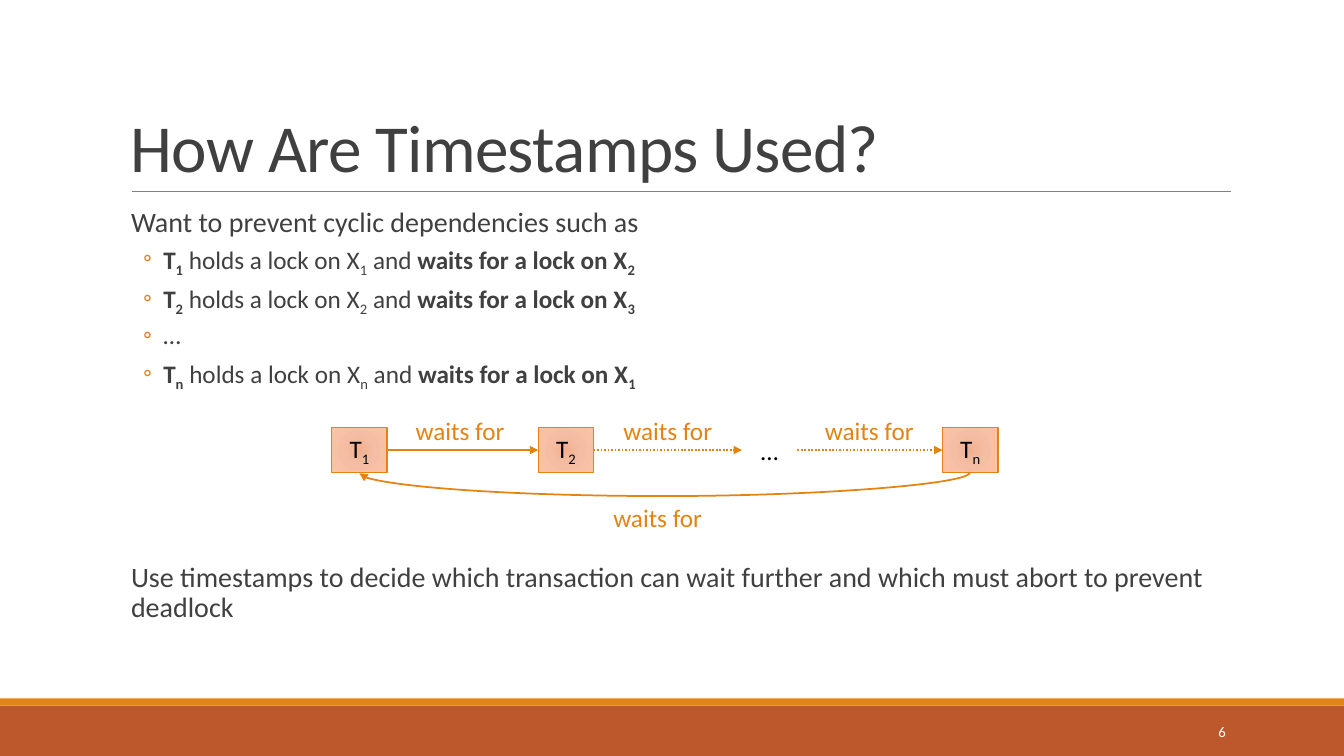
from dataclasses import dataclass

from lxml.etree import SubElement
from pptx import Presentation
from pptx.dml.color import RGBColor
from pptx.enum.dml import MSO_LINE
from pptx.enum.shapes import MSO_CONNECTOR as CXN, MSO_SHAPE as SHAPE
from pptx.enum.text import MSO_ANCHOR as ANCHOR, PP_ALIGN as ALIGN
from pptx.oxml import parse_xml
from pptx.oxml.ns import nsdecls, qn
from pptx.util import Emu, Inches, Pt


@dataclass(frozen=True)
class Theme:
    """Colours, font and type sizes of the slide."""
    font: str = "Calibri"
    accent: str = "E48312"
    band: str = "BD582C"
    rule: str = "808080"
    text: str = "404040"
    black: str = "000000"
    white: str = "FFFFFF"
    glow: tuple = ((0, "F0B191"), (45, "F5BEA4"), (100, "FDC3A8"))
    title: float = 48
    body: float = 20
    item: float = 18
    number: float = 10.5


T = Theme()
COLS, ROWS = 133.33, 75
NODE_W, NODE_H, NODE_TOP = 5.5, 4.5, 42.4
NODES = ((32.9, "1"), (53.4, "2"), (73.6, None), (93.5, "n"))
LABELS = ((40, 40.7), (60.6, 40.7), (80.6, 40.7), (59.6, 49.3))


def grid(*cells):
    """Turn grid cells of a tenth of an inch into lengths."""
    return [Inches(c / 10) for c in cells]


def rgb(color):
    """Turn a hex string into a colour."""
    return RGBColor.from_string(color)


def add_runs(p, runs, size, color):
    """Append (text, bold, subscript) runs to a paragraph."""
    for text, bold, sub in runs:
        r = p.add_run()
        r.text = text
        r.font.name, r.font.size, r.font.bold = T.font, Pt(size), bold
        r.font.color.rgb = rgb(color)
        if sub:
            r.font._element.set("baseline", "-25000")


def plain(text):
    """Return one regular run."""
    return [(text, False, False)]


def holds(i, j):
    """Return the runs for a transaction that holds one lock and awaits another."""
    return [("T", True, False), (i, True, True), (" holds a lock on X", False, False),
            (i, False, True), (" and ", False, False),
            ("waits for a lock on X", True, False), (j, True, True)]


def add_text(s, box, runs, size, color, align=ALIGN.LEFT, anchor=ANCHOR.TOP, wrap=True):
    """Add a one-paragraph text box and return it."""
    sp = s.shapes.add_textbox(*grid(*box))
    tf = sp.text_frame
    tf.word_wrap, tf.vertical_anchor = wrap, anchor
    p = tf.paragraphs[0]
    p.alignment = align
    add_runs(p, runs, size, color)
    return sp


def add_bar(s, top, height, color):
    """Add a full-width bar."""
    sp = s.shapes.add_shape(SHAPE.RECTANGLE, *grid(0, top, COLS, height))
    sp.shadow.inherit = False
    sp.fill.solid()
    sp.fill.fore_color.rgb = rgb(color)
    sp.line.fill.background()


def add_line(s, start, end, color, width, kind=CXN.STRAIGHT, dash=None, arrow=False):
    """Add a connector between two points given in lengths."""
    c = s.shapes.add_connector(kind, *start, *end)
    c.line.color.rgb, c.line.width = rgb(color), Pt(width)
    if dash:
        c.line.dash_style = dash
    spPr = c.element.spPr
    if arrow:
        SubElement(spPr.find(qn("a:ln")), qn("a:tailEnd"), type="triangle")
    SubElement(spPr, qn("a:effectLst"))
    return c


def add_node(s, left, index):
    """Add a transaction box, or an ellipsis when there is no index."""
    box = (left, NODE_TOP, NODE_W, NODE_H)
    if index is None:
        return add_text(s, box, plain("…"), T.item, T.black, ALIGN.CENTER, ANCHOR.MIDDLE)
    sp = s.shapes.add_shape(SHAPE.RECTANGLE, *grid(*box))
    sp.shadow.inherit = False
    sp.line.color.rgb, sp.line.width = rgb(T.accent), Pt(1)
    stops = "".join(f'<a:gs pos="{pos * 1000}"><a:srgbClr val="{color}"/></a:gs>'
                    for pos, color in T.glow)
    edges = " ".join(f'{side}="100000"' for side in "ltrb")
    fill = parse_xml(f'<a:gradFill {nsdecls("a")} rotWithShape="1"><a:gsLst>{stops}</a:gsLst>'
                     f'<a:path path="circle"><a:fillToRect {edges}/></a:path></a:gradFill>')
    sp.element.spPr.find(qn("a:prstGeom")).addnext(fill)
    tf = sp.text_frame
    tf.vertical_anchor = ANCHOR.MIDDLE
    p = tf.paragraphs[0]
    p.alignment = ALIGN.CENTER
    add_runs(p, [("T", False, False), (index, False, True)], T.item, T.black)
    return sp


def add_return_arrow(s, first, last):
    """Add the curved arrow that runs below the row from last to first."""
    span = last.left - first.left
    thick, sag = Inches(0.01), Inches(0.24)
    mid_x = first.left + first.width // 2 + span // 2
    mid_y = first.top + first.height
    left, top = Emu(mid_x - thick // 2), Emu(mid_y - span // 2)
    c = add_line(s, (left, top), (left + thick, top + span), T.accent, 1.25,
                 CXN.CURVE, arrow=True)
    spPr = c.element.spPr
    spPr.find(qn("a:xfrm")).set("rot", str(90 * 60000))
    guides = spPr.find(qn("a:prstGeom")).get_or_add_avLst()
    SubElement(guides, qn("a:gd"), name="adj1", fmla=f"val {sag * 100000 // thick}")


def add_body(s):
    """Add the statement, its bulleted lock list and the conclusion."""
    sp = s.shapes.add_textbox(*grid(12, 20.2, 110, 44))
    tf = sp.text_frame
    tf.word_wrap = True
    tf.margin_left = tf.margin_right = 0
    items = [holds("1", "2"), holds("2", "3"), plain("…"), holds("n", "1")]
    rows = [(plain("Want to prevent cyclic dependencies such as"), False, 0)]
    rows += [(runs, True, 2) for runs in items]
    rows.append((plain("Use timestamps to decide which transaction can wait further "
                       "and which must abort to prevent deadlock"), False, 120))
    for n, (runs, bullet, before) in enumerate(rows):
        p = tf.add_paragraph() if n else tf.paragraphs[0]
        pPr = p._p.get_or_add_pPr()
        pPr.set("marL", str(Inches(0.42 if bullet else 0.1)))
        pPr.set("indent", str(Inches(-0.2 if bullet else 0)))
        if bullet:
            p.level = 1
            SubElement(SubElement(pPr, qn("a:buClr")), qn("a:srgbClr"), val=T.accent)
            SubElement(pPr, qn("a:buFont"), typeface=T.font)
            SubElement(pPr, qn("a:buChar"), char="◦")
        p.line_spacing = 0.9
        p.space_before, p.space_after = Pt(before), Pt(4 if bullet else 2)
        add_runs(p, runs, T.item if bullet else T.body, T.text)


def add_wait_cycle(s):
    """Add the row of transactions, its arrows and their labels."""
    nodes = [add_node(s, left, index) for left, index in NODES]
    for n, (a, b) in enumerate(zip(nodes, nodes[1:])):
        y = a.top + a.height // 2
        c = add_line(s, (a.left + a.width, y), (b.left, y), T.accent, 1.25,
                     dash=MSO_LINE.ROUND_DOT if n else None, arrow=True)
        c.begin_connect(a, 3)
        c.end_connect(b, 1)
    add_return_arrow(s, nodes[0], nodes[-1])
    for left, top in LABELS:
        add_text(s, (left, top, 11.3, 4), plain("waits for"), T.item, T.accent,
                 ALIGN.CENTER, wrap=False)


def main():
    """Build the slide and save it."""
    prs = Presentation()
    prs.slide_width, prs.slide_height = grid(COLS, ROWS)
    s = prs.slides.add_slide(prs.slide_layouts[6])
    add_bar(s, 70, 5, T.band)
    add_bar(s, 69.3, 0.7, T.accent)
    add_line(s, grid(13.1, 19), grid(122.1, 19), T.rule, 0.5)
    title = add_text(s, (12, 3.1, 110, 15.9), plain("How Are Timestamps Used?"),
                     T.title, T.text, anchor=ANCHOR.BOTTOM)
    p = title.text_frame.paragraphs[0]
    p.line_spacing = 0.85
    p.runs[0].font._element.set("spc", "-50")
    add_body(s)
    add_text(s, (108.3, 70.6, 14.3, 4), plain("6"), T.number, T.white,
             ALIGN.RIGHT, ANCHOR.MIDDLE)
    add_wait_cycle(s)
    prs.save("out.pptx")


if __name__ == "__main__":
    main()
